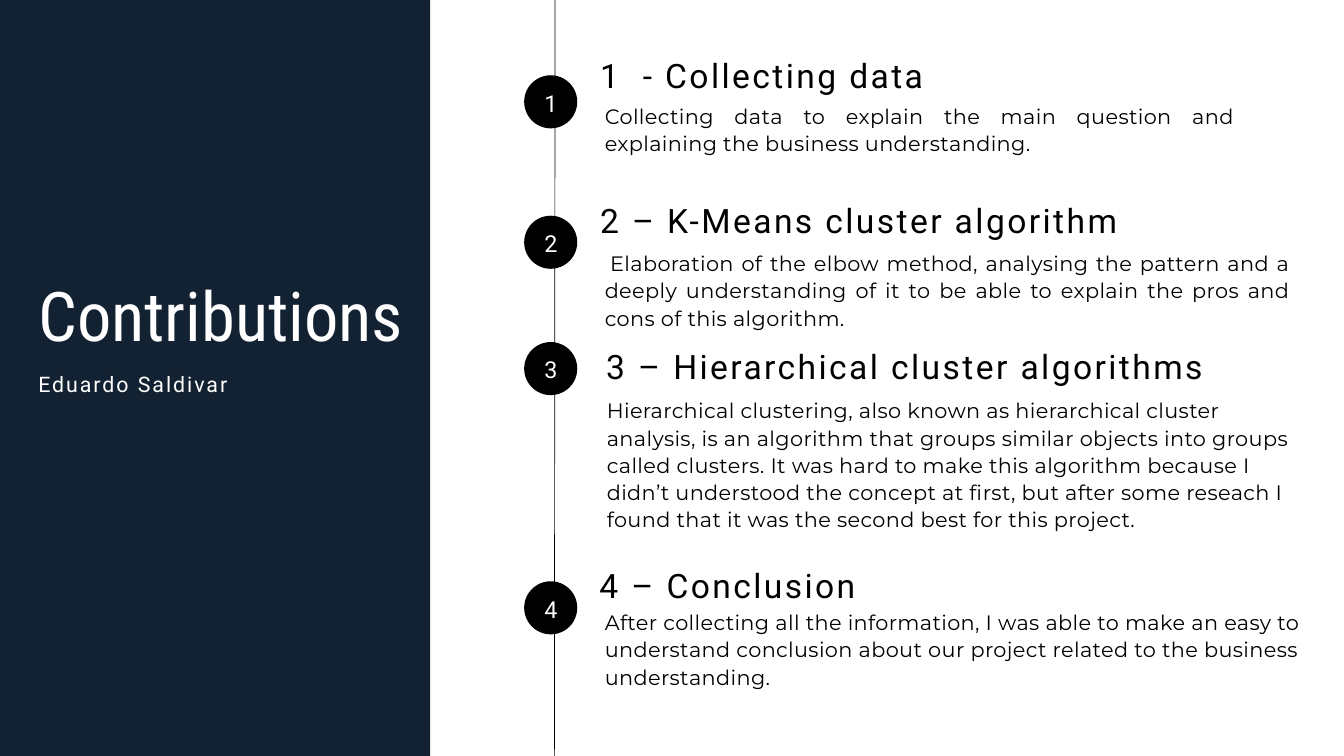
from pptx import Presentation
from pptx.dml.color import RGBColor
from pptx.enum.shapes import MSO_CONNECTOR, MSO_SHAPE
from pptx.enum.text import MSO_ANCHOR, PP_ALIGN
from pptx.oxml.ns import qn
from pptx.util import Inches, Pt
from lxml.etree import SubElement

NAVY = RGBColor(0x13, 0x22, 0x32)
BLACK = RGBColor(0, 0, 0)
WHITE = RGBColor(255, 255, 255)

TITLE = "Contributions"
AUTHOR = "Eduardo Saldivar"

STEPS = [
    {
        "heading": "1  - Collecting data",
        "heading_at": (8.93, 0.86),
        "body": "Collecting data to explain the main question and "
                "explaining the business understanding.",
        "body_at": (9, 1.51, 9.37, 0.81),
        "align": PP_ALIGN.JUSTIFY,
        "marker_top": 1.12,
    },
    {
        "heading": "2 – K-Means cluster algorithm",
        "heading_at": (8.93, 3.01),
        "body": "Elaboration of the elbow method, analysing the pattern and a "
                "deeply understanding of it to be able to explain the pros and "
                "cons of this algorithm.",
        "body_at": (9, 3.7, 10.2, 1.22),
        "align": PP_ALIGN.JUSTIFY,
        "indent": 0.08,
        "marker_top": 3.21,
    },
    {
        "heading": "3 – Hierarchical cluster algorithms",
        "heading_at": (9.02, 5.18),
        "body": "Hierarchical clustering, also known as hierarchical cluster "
                "analysis, is an algorithm that groups similar objects into groups "
                "called clusters. It was hard to make this algorithm because I "
                "didn’t understood the concept at first, but after some reseach I "
                "found that it was the second best for this project.",
        "body_at": (9.03, 5.89, 10.51, 2.03),
        "align": PP_ALIGN.LEFT,
        "marker_top": 5.09,
    },
    {
        "heading": "4 – Conclusion",
        "heading_at": (8.92, 8.45),
        "body": "After collecting all the information, I was able to make an easy "
                "to understand conclusion about our project related to the "
                "business understanding.",
        "body_at": (9, 9.04, 10.51, 1.22),
        "align": PP_ALIGN.LEFT,
        "marker_top": 8.65,
    },
]

TITLE_STYLE = ("Roboto Condensed", 73.4, WHITE, 0, 84.4)
AUTHOR_STYLE = ("Roboto", 22.9, WHITE, 2.1, 33.3)
NUMBER_STYLE = ("Roboto", 25, WHITE, 2.3, 36.2)
HEADING_STYLE = ("Roboto", 36, BLACK, 2.6, 40.5)
BODY_STYLE = ("Montserrat", 22.3, BLACK, 0.4, 29.2)

MARKER_LEFT, MARKER_SIZE = 7.8, 0.79
HEADING_WIDTH, HEADING_HEIGHT = 10.3, 0.56


def add_shape(slide, kind, position, color):
    shape = slide.shapes.add_shape(kind, *map(Inches, position))
    shape.shadow.inherit = False
    shape.fill.solid()
    shape.fill.fore_color.rgb = color
    shape.line.fill.background()
    return shape


def add_text(slide, text, position, style, align=PP_ALIGN.LEFT, indent=0, margin=0):
    font_name, size, color, spacing, line_height = style
    box = slide.shapes.add_textbox(*map(Inches, position))
    frame = box.text_frame
    frame.word_wrap = True
    frame.margin_left = frame.margin_right = Inches(margin)
    frame.margin_top = frame.margin_bottom = Inches(margin)
    frame.text = text
    paragraph = frame.paragraphs[0]
    paragraph.alignment = align
    paragraph.line_spacing = Pt(line_height)
    if indent:
        paragraph._p.get_or_add_pPr().set("indent", str(Inches(indent)))
    span = paragraph.runs[0]
    span.font.name = font_name
    span.font.size = Pt(size)
    span.font.color.rgb = color
    if spacing:
        span.font._element.set("spc", str(round(spacing * 100)))
    return box


def add_timeline(slide):
    timeline = slide.shapes.add_connector(
        MSO_CONNECTOR.STRAIGHT, Inches(8.25), Inches(11.25), Inches(8.26), Inches(0))
    timeline.line.color.rgb = BLACK
    timeline.line.width = Pt(0.75)
    SubElement(timeline._element.spPr, qn("a:effectLst"))


def add_step(slide, number, step):
    top = step["marker_top"]
    add_shape(slide, MSO_SHAPE.OVAL,
              (MARKER_LEFT, top, MARKER_SIZE, MARKER_SIZE), BLACK)
    label = add_text(slide, str(number), (MARKER_LEFT + 0.08, top + 0.01, 0.64, 0.71),
                     NUMBER_STYLE, PP_ALIGN.CENTER, margin=0.06)
    label.text_frame.vertical_anchor = MSO_ANCHOR.MIDDLE
    add_text(slide, step["heading"],
             (*step["heading_at"], HEADING_WIDTH, HEADING_HEIGHT), HEADING_STYLE)
    add_text(slide, step["body"], step["body_at"], BODY_STYLE,
             step["align"], step.get("indent", 0))


def main():
    deck = Presentation()
    deck.slide_width, deck.slide_height = Inches(20), Inches(11.25)
    slide = deck.slides.add_slide(deck.slide_layouts[6])
    add_shape(slide, MSO_SHAPE.RECTANGLE, (0, 0, 6.4, 11.25), NAVY)
    add_text(slide, TITLE, (0.57, 4.12, 6.41, 1.19), TITLE_STYLE)
    add_text(slide, AUTHOR, (0.57, 5.45, 5.78, 0.43), AUTHOR_STYLE)
    add_timeline(slide)
    for number, step in enumerate(STEPS, start=1):
        add_step(slide, number, step)
    deck.save("out.pptx")


if __name__ == "__main__":
    main()
